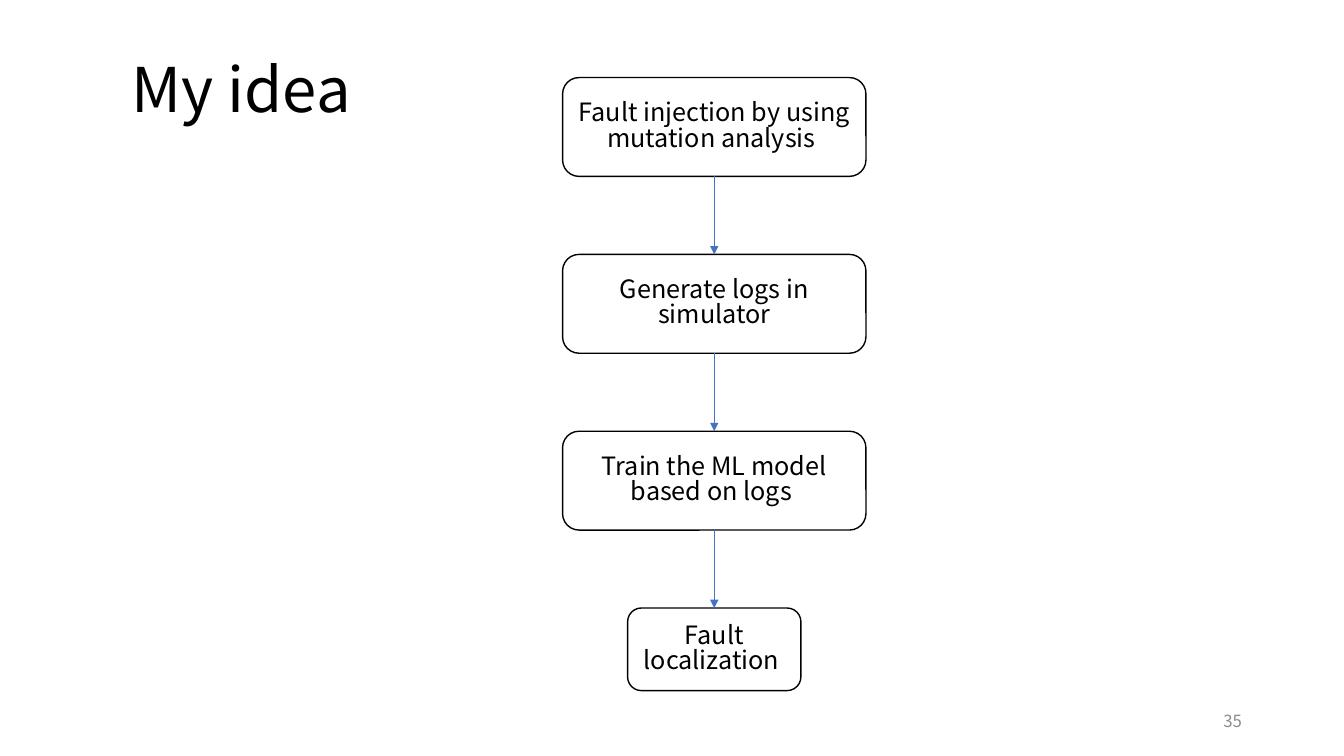
from lxml.etree import SubElement
from pptx import Presentation
from pptx.dml.color import RGBColor
from pptx.enum.shapes import MSO_CONNECTOR, MSO_SHAPE
from pptx.enum.text import MSO_ANCHOR, PP_ALIGN
from pptx.oxml.ns import qn
from pptx.util import Pt

FONT = "Noto Sans CJK SC"
COLORS = {"black": "000000", "white": "FFFFFF", "gray": "8C8C8C", "blue": "4472C4"}
CENTER, TOP, STEP = 510.2, 55.4, 126.3
STEPS = [
    ("Fault injection by using mutation analysis ", 216.7, 70.6),
    ("Generate logs in simulator", 216.7, 70.6),
    ("Train the ML model based on logs ", 216.7, 70.6),
    ("Fault localization ", 123.8, 59),
]


def color(name):
    return RGBColor.from_string(COLORS[name])


def write(sp, text, size, align, spacing, ink="black"):
    tf = sp.text_frame
    tf.word_wrap = True
    tf.vertical_anchor = MSO_ANCHOR.MIDDLE
    p = tf.paragraphs[0]
    for name, value in {"alignment": align, "line_spacing": spacing}.items():
        setattr(p, name, value)
    r = p.add_run()
    r.text = text
    for name, value in {"name": FONT, "size": Pt(size)}.items():
        setattr(r.font, name, value)
    r.font.color.rgb = color(ink)


def add_label(s, box, *style):
    sp = s.shapes.add_textbox(*map(Pt, box))
    write(sp, *style)


def add_step(s, top, text, width, height):
    box = (CENTER - width / 2, top, width, height)
    sp = s.shapes.add_shape(MSO_SHAPE.ROUNDED_RECTANGLE, *map(Pt, box))
    sp.shadow.inherit = False
    sp.fill.solid()
    sp.fill.fore_color.rgb = color("white")
    sp.line.color.rgb = color("black")
    sp.line.width = Pt(1)
    write(sp, text, 18, PP_ALIGN.CENTER, 0.83)
    return sp


def add_arrow(s, upper, lower):
    cx = s.shapes.add_connector(MSO_CONNECTOR.STRAIGHT, 0, 0, 0, 0)
    cx.begin_connect(upper, 2)
    cx.end_connect(lower, 0)
    cx.line.color.rgb = color("blue")
    cx.line.width = Pt(0.5)
    SubElement(cx.line._get_or_add_ln(), qn("a:tailEnd"), type="triangle")
    SubElement(cx._element.spPr, qn("a:effectLst"))


def main():
    prs = Presentation()
    prs.slide_width, prs.slide_height = Pt(960), Pt(540)
    s = prs.slides.add_slide(prs.slide_layouts[6])
    add_label(s, (87.1, 13.7, 285.1, 104.4), "My idea", 44, PP_ALIGN.LEFT, 0.9)
    add_label(s, (678.2, 500.4, 216, 28.8), "35", 12, PP_ALIGN.RIGHT, 1.0, "gray")
    steps = [add_step(s, TOP + i * STEP, *step) for i, step in enumerate(STEPS)]
    for upper, lower in zip(steps, steps[1:]):
        add_arrow(s, upper, lower)
    prs.save("out.pptx")


if __name__ == "__main__":
    main()
